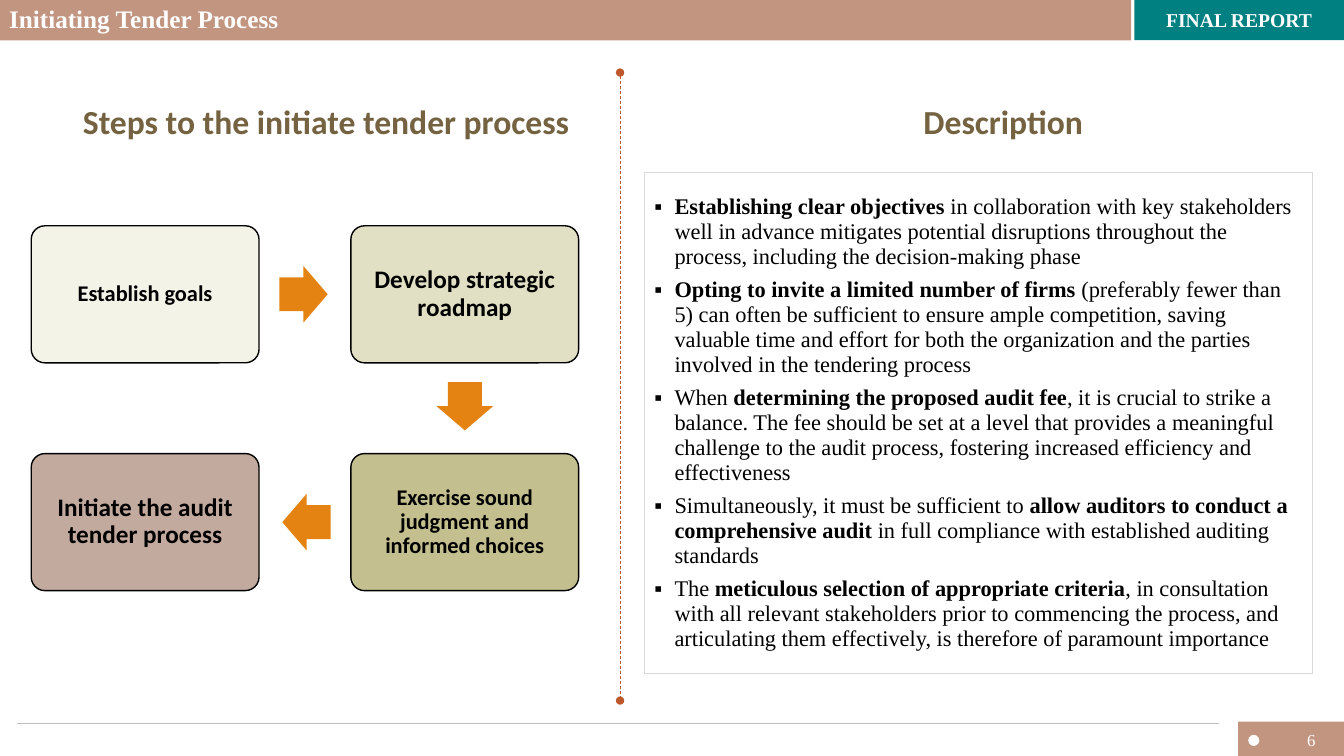
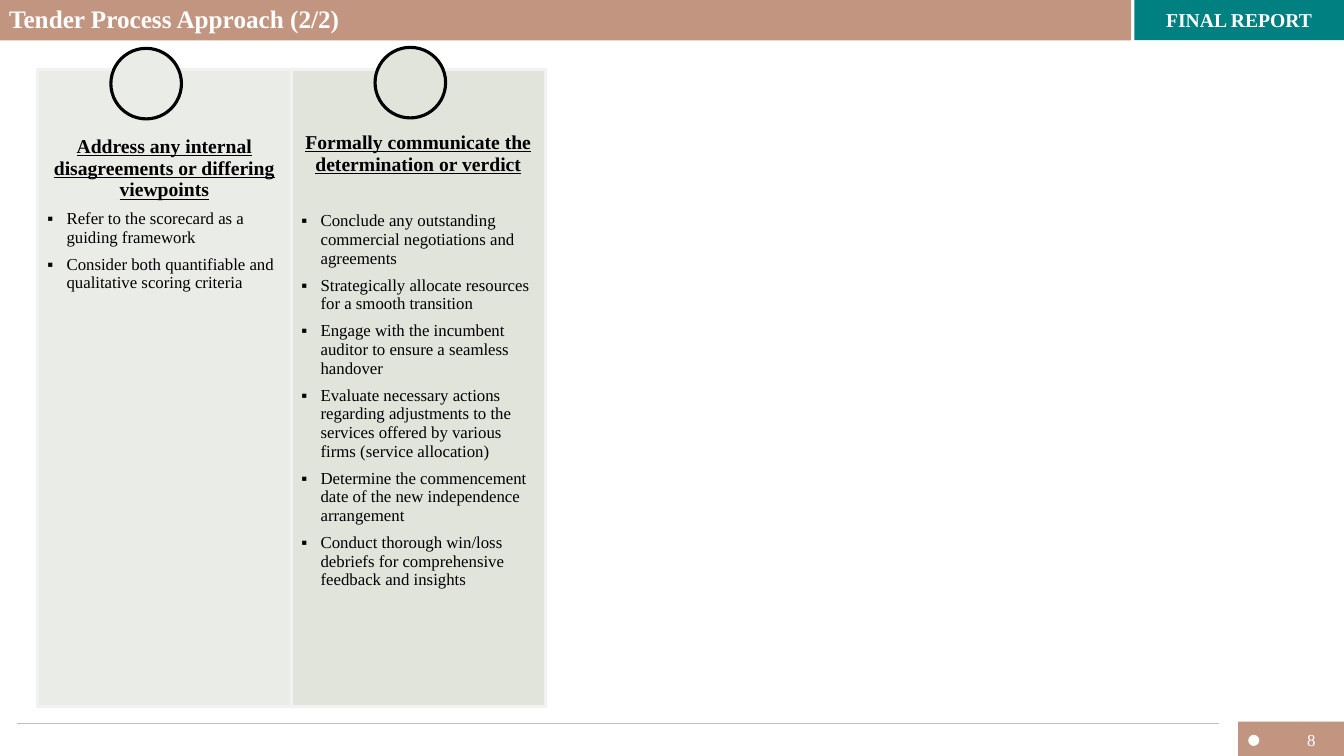
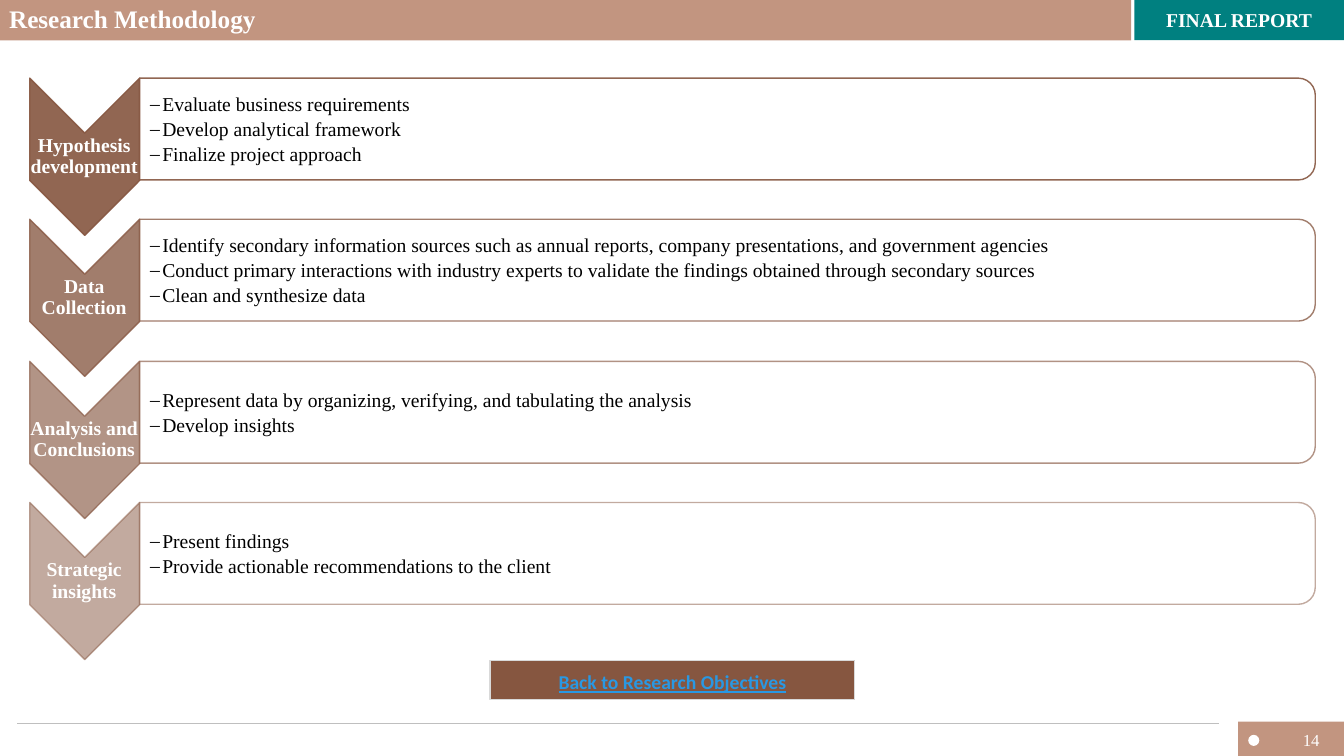
from lxml.etree import SubElement
from pptx import Presentation
from pptx.dml.color import RGBColor as RGB
from pptx.enum.dml import MSO_LINE
from pptx.enum.shapes import MSO_CONNECTOR as CONN, MSO_SHAPE as SHAPE
from pptx.enum.text import MSO_ANCHOR as ANCHOR, MSO_AUTO_SIZE as AUTO, PP_ALIGN as ALIGN
from pptx.oxml import parse_xml
from pptx.oxml.ns import nsdecls, qn
from pptx.util import Pt

PX = 9144  # EMU per px, 100 px to the inch


class Theme:
    serif, sans = "Times New Roman", "Calibri"
    white, black = "FFFFFF", "000000"
    band, teal, brown = "C29580", "008080", "865640"
    rule, border, pale_border = "BFBFBF", "D9D9D9", "F2F2F2"
    divider, arrow = "BD582C", "E48312"
    heading, link = "746241", "2998E3"
    title, section, large, body, label, small = 18, 24, 18, 16, 14, 12


def box(s, kind, x, y, w, h, fill=None, line=None, width=1, alpha=100, rot=0):
    """Add a shape (a text box if kind is None); x, y, w, h are as seen after rotation."""
    if rot % 180:
        x, y, w, h = x + (w - h) // 2, y + (h - w) // 2, h, w
    area = [v * PX for v in (x, y, w, h)]
    if kind is None:
        return s.shapes.add_textbox(*area)
    sp = s.shapes.add_shape(kind, *area)
    sp.shadow.inherit = False
    sp.rotation = rot
    sp.fill.solid()
    sp.fill.fore_color.rgb = RGB.from_string(fill)
    if line:
        sp.line.color.rgb = RGB.from_string(line)
        sp.line.width = Pt(width)
    else:
        sp.line.fill.background()
    if alpha < 100:
        for color in sp.element.iter(qn("a:srgbClr")):
            SubElement(color, qn("a:alpha")).set("val", str(alpha * 1000))
    return sp


def write(tf, paras, size, color=Theme.black, font=Theme.serif, align=ALIGN.LEFT,
          bullet=None, indent=0, before=0, after=0, spacing=1.0, underline=False):
    """Append paragraphs; text between ** marks is bold."""
    for text in paras:
        first = not tf.text
        p = tf.paragraphs[0] if first else tf.add_paragraph()
        if bullet:
            pPr = p._p.get_or_add_pPr()
            pPr.set("marL", str(indent * PX))
            pPr.set("indent", str(-indent * PX))
            SubElement(pPr, qn("a:buFont")).set("typeface", font)
            SubElement(pPr, qn("a:buChar")).set("char", bullet)
        p.alignment, p.line_spacing = align, spacing
        p.space_before = Pt(0 if first else before)
        p.space_after = Pt(after)
        for i, part in enumerate(text.split("**")):
            if part:
                r = p.add_run()
                r.text = part
                r.font.name, r.font.size = font, Pt(size)
                r.font.bold, r.font.underline = i % 2 == 1, underline
                r.font.color.rgb = RGB.from_string(color)


prs = Presentation()
prs.slide_width, prs.slide_height = 1333 * PX, 750 * PX
layout = prs.slide_layouts[5]

# Title and page number of every slide
slides = []
for title, page in [("Initiating Tender Process", 6),
                    ("Tender Process Approach (2/2)", 8),
                    ("Research Methodology", 14)]:
    s = prs.slides.add_slide(layout)
    slides.append(s)
    sp = s.shapes.title
    sp.left, sp.top, sp.width, sp.height = 0, 0, 1122 * PX, 40 * PX
    sp.fill.solid()
    sp.fill.fore_color.rgb = RGB.from_string(Theme.band)
    tf = sp.text_frame
    tf.auto_size, tf.vertical_anchor = AUTO.NONE, ANCHOR.MIDDLE
    tf.margin_left, tf.margin_right, tf.margin_top, tf.margin_bottom = 9 * PX, 0, 0, 0
    write(tf, [f"**{title}**"], Theme.title, Theme.white, spacing=0.9)
    number = box(s, None, 1268, 719, 65, 30)
    write(number.text_frame, [str(page)], Theme.small, Theme.white, align=ALIGN.CENTER)

tender, approach, method = slides

# Footer rule and slide divider
lines = []
for x1, y1, x2, y2, color in [(17, 718, 1209, 718, Theme.rule),
                              (615, 72, 615, 695, Theme.divider)]:
    line = tender.shapes.add_connector(CONN.STRAIGHT, x1 * PX, y1 * PX, x2 * PX, y2 * PX)
    line.line.color.rgb = RGB.from_string(color)
    line.line.width = Pt(0.5)
    SubElement(line.element.spPr, qn("a:effectLst"))
    lines.append(line)
rule, divider = lines
divider.line.dash_style = MSO_LINE.DASH
ln = divider.element.spPr.find(qn("a:ln"))
for end in ("a:headEnd", "a:tailEnd"):
    SubElement(ln, qn(end)).set("type", "oval")

# Shared bands, moved to the layout
corner = box(tender, SHAPE.RECTANGLE, 1228, 716, 105, 34, Theme.band)
dot = box(tender, SHAPE.OVAL, 1238, 729, 11, 11, Theme.white)
tag = box(tender, SHAPE.RECTANGLE, 1125, 0, 208, 40, Theme.teal)
write(tag.text_frame, ["**FINAL REPORT**"], Theme.label, Theme.white, align=ALIGN.CENTER)
for sp in (corner, dot, rule, tag):
    layout.shapes.element.append(sp.element)

# Slide 1: section headings
for x, w, text in [(5, 637, "Steps to the initiate tender process"), (867, 256, "Description")]:
    tf = box(tender, None, x, 95, w, 50).text_frame
    tf.word_wrap = True
    write(tf, [f"**{text}**"], Theme.section, Theme.heading, Theme.sans, ALIGN.CENTER)

# Slide 1: steps and arrows
for x, y, fill, alpha, size, text in [
        (31, 224, "F3F2E6", 90, Theme.body, "Establish goals"),
        (348, 224, "DAD7B3", 77, Theme.large, "Develop strategic roadmap"),
        (348, 450, "A39B4E", 63, Theme.body, "Exercise sound judgment and informed choices"),
        (31, 450, Theme.brown, 50, Theme.large, "Initiate the audit tender process")]:
    # The outline stays opaque, so only the fill gets the alpha
    step = box(tender, SHAPE.ROUNDED_RECTANGLE, x, y, 226, 136, fill, alpha=alpha)
    step.adjustments[0] = 0.1
    step.line.color.rgb = RGB.from_string(Theme.black)
    step.line.width = Pt(1)
    tf = step.text_frame
    tf.margin_left = tf.margin_right = tf.margin_top = tf.margin_bottom = 7 * PX
    write(tf, [f"**{text}**"], size, font=Theme.sans, align=ALIGN.CENTER, spacing=0.9)

for x, y, w, h, rot in [(277, 264, 48, 56, 0), (433, 379, 56, 48, 90), (280, 490, 48, 56, 180)]:
    arrow = box(tender, SHAPE.RIGHT_ARROW, x, y, w, h, Theme.arrow, rot=rot)
    arrow.adjustments[0], arrow.adjustments[1] = 0.6, 0.5

# Tables of slides 1 and 2
description = tender.shapes.add_table(1, 1, 639 * PX, 171 * PX, 663 * PX, 497 * PX).table
columns = approach.shapes.add_table(1, 2, 37 * PX, 69 * PX, 504 * PX, 632 * PX).table
for table, color, width in [(description, Theme.border, 1), (columns, Theme.pale_border, 2.25)]:
    table.first_row = table.horz_banding = False
    for cell in table.iter_cells():
        cell.fill.background()
        tcPr = cell._tc.get_or_add_tcPr()
        for i, side in enumerate("LRTB"):
            tcPr.insert(i, parse_xml(
                f'<a:ln{side} {nsdecls("a")} w="{Pt(width)}"><a:solidFill>'
                f'<a:srgbClr val="{color}"/></a:solidFill></a:ln{side}>'))

# Slide 1: description
cell = description.cell(0, 0)
cell.vertical_anchor = ANCHOR.MIDDLE
write(cell.text_frame, [
    "**Establishing clear objectives** in collaboration with key stakeholders well in advance "
    "mitigates potential disruptions throughout the process, including the decision-making phase",
    "**Opting to invite a limited number of firms** (preferably fewer than 5) can often be "
    "sufficient to ensure ample competition, saving valuable time and effort for both the "
    "organization and the parties involved in the tendering process",
    "When **determining the proposed audit fee**, it is crucial to strike a balance. The fee "
    "should be set at a level that provides a meaningful challenge to the audit process, "
    "fostering increased efficiency and effectiveness",
    "Simultaneously, it must be sufficient to **allow auditors to conduct a comprehensive "
    "audit **in full compliance with established auditing standards",
    "The **meticulous selection of appropriate criteria**, in consultation with all relevant "
    "stakeholders prior to commencing the process, and articulating them effectively, is "
    "therefore of paramount importance",
], Theme.body, bullet="▪", indent=20, before=6)

# Slide 2: columns with circles
for col, (fill, top, gap, x, y, heading, points) in enumerate([
        ("EAECE7", 66, 6, 110, 48, "Address any internal disagreements or differing viewpoints",
         ["Refer to the scorecard as a guiding framework",
          "Consider both quantifiable and qualitative scoring criteria"]),
        ("E0E4DB", 62, 26, 372, 47, "Formally communicate the determination or verdict",
         ["Conclude any outstanding commercial negotiations and agreements",
          "Strategically allocate resources for a smooth transition",
          "Engage with the incumbent auditor to ensure a seamless handover",
          "Evaluate necessary actions regarding adjustments to the services offered by "
          "various firms (service allocation)",
          "Determine the commencement date of the new independence arrangement",
          "Conduct thorough win/loss debriefs for comprehensive feedback and insights"])]):
    cell = columns.cell(0, col)
    cell.fill.solid()
    cell.fill.fore_color.rgb = RGB.from_string(fill)
    cell.margin_left = cell.margin_right = 10 * PX
    cell.margin_top, cell.margin_bottom = top * PX, 8 * PX
    write(cell.text_frame, [f"**{heading}**"], Theme.label, align=ALIGN.CENTER,
          after=gap, underline=True)
    write(cell.text_frame, points, Theme.small, bullet="▪", indent=19, after=6)
    box(approach, SHAPE.OVAL, x, y, 70, 70, fill, Theme.black, 2.25)

# Slide 3: phases
for i, (alpha, phase, tasks) in enumerate([
        (90, "Hypothesis development",
         ["Evaluate business requirements", "Develop analytical framework",
          "Finalize project approach"]),
        (77, "Data Collection",
         ["Identify secondary information sources such as annual reports, company "
          "presentations, and government agencies",
          "Conduct primary interactions with industry experts to validate the findings "
          "obtained through secondary sources",
          "Clean and synthesize data"]),
        (63, "Analysis and Conclusions",
         ["Represent data by organizing, verifying, and tabulating the analysis",
          "Develop insights"]),
        (50, "Strategic insights",
         ["Present findings", "Provide actionable recommendations to the client"])]):
    y = 78 + round(140.4 * i)
    box(method, SHAPE.CHEVRON, 30, y, 109, 156, Theme.brown, Theme.brown, alpha=alpha, rot=90)
    box(method, SHAPE.ROUND_2_SAME_RECTANGLE, 139, y, 1166, 101, Theme.white, Theme.brown,
        alpha=alpha, rot=90)
    name = box(method, None, 29, y + 54, 109, 47).text_frame
    body = box(method, None, 138, y + 5, 1161, 92).text_frame
    for tf, left in [(name, 1), (body, 11)]:
        tf.word_wrap, tf.vertical_anchor = True, ANCHOR.MIDDLE
        tf.margin_left = left * PX
        tf.margin_right = tf.margin_top = tf.margin_bottom = PX
    write(name, [f"**{phase}**"], Theme.label, Theme.white, align=ALIGN.CENTER, spacing=0.9)
    write(body, tasks, Theme.label, bullet="–", indent=12, after=2.5, spacing=0.9)

# Slide 3: button
button = box(method, SHAPE.RECTANGLE, 486, 655, 362, 39, Theme.brown, Theme.border, 0.75)
write(button.text_frame, ["**Back to Research Objectives**"], Theme.label, Theme.link,
      Theme.sans, ALIGN.CENTER, spacing=1.15, underline=True)

prs.save("out.pptx")
